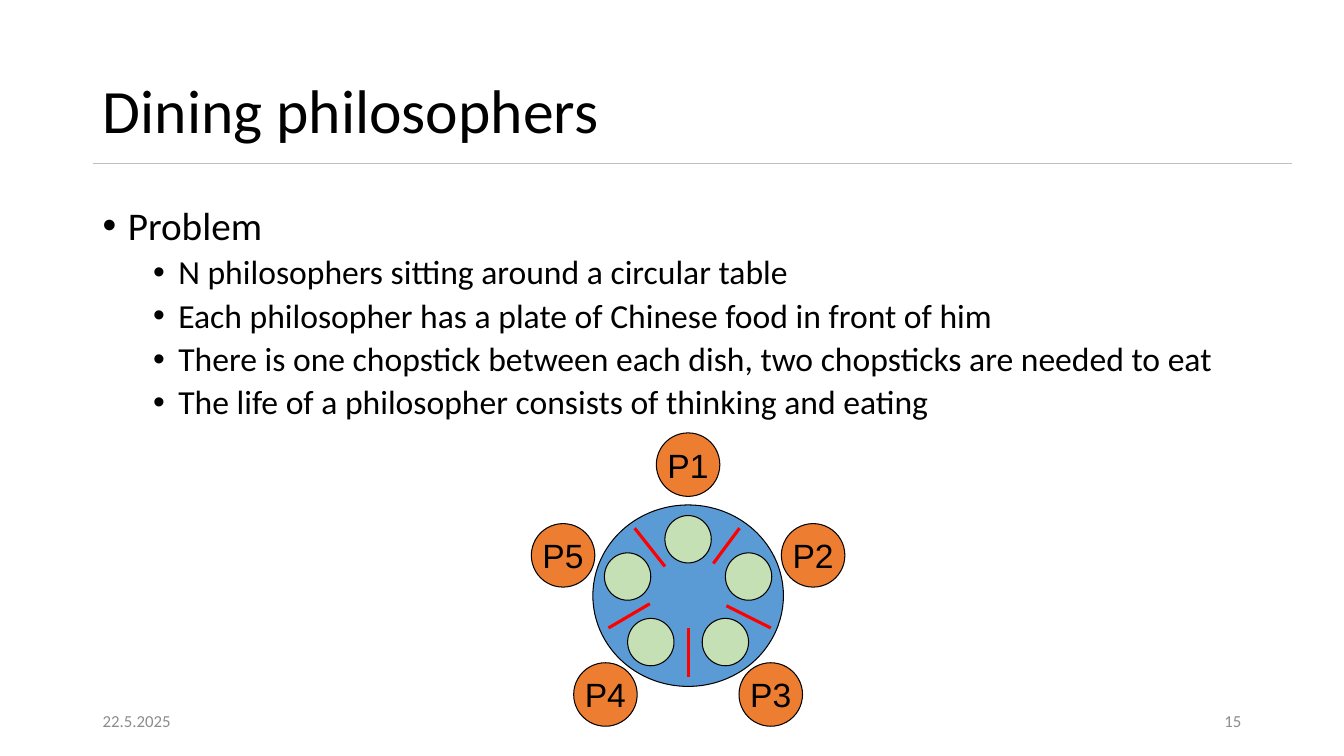
import pptx
import pptx.util
import pptx.dml.color
import pptx.enum.shapes
import pptx.enum.text
import pptx.oxml
from pptx.oxml import ns

WIDE, HIGH = 13.33, 7.5
LEFT = 0.92
ALIGN = pptx.enum.text.PP_ALIGN
MIDDLE = pptx.enum.text.MSO_ANCHOR.MIDDLE
inch = pptx.util.Inches
pt = pptx.util.Pt

POINTS = [
    "N philosophers sitting around a circular table",
    "Each philosopher has a plate of Chinese food in front of him",
    "There is one chopstick between each dish, two chopsticks are needed to eat",
    "The life of a philosopher consists of thinking and eating",
]
# Offsets from the centre of the table, clockwise from the top
SEATS = [(0, -1.3), (1.24, -0.4), (0.82, 0.98), (-0.82, 0.98), (-1.24, -0.4)]
PLATES = [(0, -0.56), (0.6, -0.19), (0.37, 0.46), (-0.37, 0.46), (-0.6, -0.19)]
STICKS = [
    (0.51, -0.67, 0.25, -0.32),
    (0.82, 0.32, 0.38, 0.1),
    (0, 0.32, 0, 0.81),
    (-0.79, 0.32, -0.38, 0.08),
    (-0.53, -0.67, -0.23, -0.29),
]


def color(code):
    return pptx.dml.color.RGBColor.from_string(code)


def bullet(para, indent):
    props = para._p.get_or_add_pPr()
    props.set("marL", str(inch(indent)))
    props.set("indent", str(-inch(0.25)))
    for tag, key, value in (("a:buFont", "typeface", "Arial"), ("a:buChar", "char", "•")):
        item = pptx.oxml.parse_xml(f'<{tag} {ns.nsdecls("a")} {key}="{value}"/>')
        props.append(item)


def write(frame, text, size=24, font="Calibri", ink="000000", align=ALIGN.LEFT,
          space=1.0, before=0, indent=None, more=False):
    """Write one paragraph; more=True adds it below those already there."""
    para = frame.add_paragraph() if more else frame.paragraphs[0]
    if indent is not None:
        bullet(para, indent)
    para.alignment = align
    para.line_spacing = space
    para.space_before = pt(before)
    run = para.add_run()
    run.text = text
    run.font.size = pt(size)
    run.font.name = font
    run.font.color.rgb = color(ink)


def text_box(slide, box, anchor=pptx.enum.text.MSO_ANCHOR.TOP):
    frame = slide.shapes.add_textbox(*map(inch, box)).text_frame
    frame.word_wrap = True
    frame.vertical_anchor = anchor
    return frame


def line(slide, ends, ink, width):
    rule = slide.shapes.add_connector(
        pptx.enum.shapes.MSO_CONNECTOR.STRAIGHT, *map(inch, ends))
    rule.line.color.rgb = color(ink)
    rule.line.width = pt(width)
    rule._element.spPr.append(pptx.oxml.parse_xml(f'<a:effectLst {ns.nsdecls("a")}/>'))


def disc(slide, x, y, width, height, fill):
    """Draw an ellipse centred on x, y."""
    shape = slide.shapes.add_shape(
        pptx.enum.shapes.MSO_SHAPE.OVAL, inch(x - width / 2), inch(y - height / 2),
        inch(width), inch(height))
    shape.shadow.inherit = False
    shape.fill.solid()
    shape.fill.fore_color.rgb = color(fill)
    shape.line.color.rgb = color("000000")
    shape.line.width = pt(0.75)
    return shape


def header(slide, box):
    title = slide.shapes.title
    title.left, title.top, title.width, title.height = map(inch, box)
    frame = title.text_frame
    frame.word_wrap = True
    frame.auto_size = pptx.enum.text.MSO_AUTO_SIZE.NONE
    frame.vertical_anchor = MIDDLE
    write(frame, "Dining philosophers", size=44, space=0.9)
    under = box[1] + 1.22
    line(slide, (box[0], under, 12.81, under), "BFBFBF", 1)


def body(slide, box):
    frame = text_box(slide, box)
    write(frame, "Problem", size=28, space=0.9, indent=0.25)
    for point in POINTS:
        write(frame, point, space=0.9, before=5, indent=0.75, more=True)


def footer(slide, box):
    left, top, width, height = box
    part = 3
    cells = (("22.5.2025", left, ALIGN.LEFT), ("15", left + width - part, ALIGN.RIGHT))
    for text, x, align in cells:
        frame = text_box(slide, (x, top, part, height), MIDDLE)
        write(frame, text, size=12, ink="8C8C8C", align=align)


def table(slide, box):
    """Draw the round table with its seats, plates and chopsticks."""
    left, top, width, height = box
    x, y = left + width / 2, top + height / 2
    disc(slide, x, y, width, height, "5B9BD5")
    for number, (dx, dy) in enumerate(SEATS, 1):
        seat = disc(slide, x + dx, y + dy, 0.63, 0.63, "ED7D31")
        seat.text_frame.word_wrap = False
        seat.text_frame.vertical_anchor = MIDDLE
        write(seat.text_frame, f"P{number}", font="Arial", align=ALIGN.CENTER)
    for dx, dy in PLATES:
        disc(slide, x + dx, y + dy, 0.46, 0.47, "C5E0B4")
    for x1, y1, x2, y2 in STICKS:
        line(slide, (x + x1, y + y1, x + x2, y + y2), "FF0000", 2.25)


def main():
    deck = pptx.Presentation()
    deck.slide_width, deck.slide_height = inch(WIDE), inch(HIGH)
    slide = deck.slides.add_slide(deck.slide_layouts[5])
    wide = WIDE - 2 * LEFT
    header(slide, (LEFT, 0.4, 10.63, 1.45))
    body(slide, (LEFT, 2, wide, 4.76))
    footer(slide, (LEFT, 6.95, wide, 0.4))
    table(slide, (5.88, 5.01, 1.89, 1.8))
    deck.save("out.pptx")


if __name__ == "__main__":
    main()
